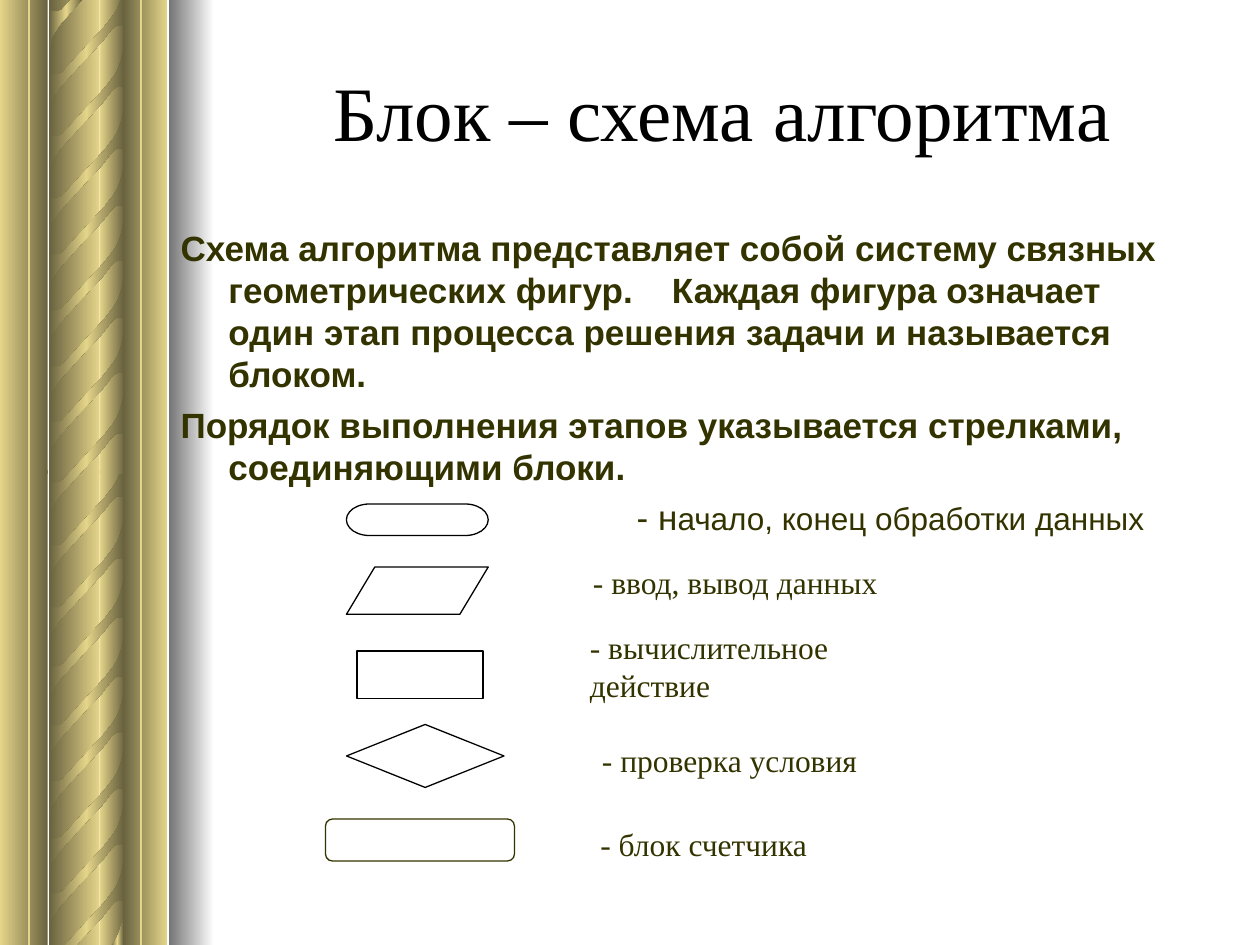
from lxml import etree
from pptx import Presentation
from pptx.dml.color import RGBColor
from pptx.enum.shapes import MSO_CONNECTOR, MSO_SHAPE as SHAPE
from pptx.enum.text import MSO_ANCHOR as ANCHOR, MSO_AUTO_SIZE, PP_ALIGN as ALIGN
from pptx.oxml.ns import qn
from pptx.util import Emu, Inches, Pt

CELL = Inches(1) // 24
BLACK, WHITE, OLIVE = "000000", "FFFFFF", "333300"
GOLD, BRONZE, GREY = "E5D58A", "69623F", "757575"
SERIF, SANS = "Times New Roman", "Arial"

SWIRL = [(59, 9), (59, 33), (58, 32), (54, 32), (52, 33), (49, 36), (42, 45),
         (25, 63), (8, 82), (5, 87), (2, 92), (1, 101), (0, 112), (0, 63),
         (0, 68), (1, 70), (3, 71), (5, 71), (7, 71), (10, 70), (44, 33),
         (51, 24), (54, 19), (56, 14), (58, 7), (59, 0), (59, 20)]
SWIRL_LEFT = 39
HALVES = [
    (89.5, 373, [458, 505, 549, 594, 638, 683, 725, 411, 362]),
    (-0.2, -1, [86, 131, 175, 220, 264, 37, -12, -62, 312]),
]
BOTTOM = 751
COLUMNS = [(19, 4.8, [BRONZE, GOLD]), (0, 9.1, [BRONZE, GOLD]),
           (9.4, 9.6, [GOLD, BRONZE]), (23.5, 8.4, [GOLD, BRONZE])]

BLOCKS = [
    (SHAPE.FLOWCHART_TERMINATOR, (66, 96, 27, 6), WHITE, BLACK),
    (SHAPE.FLOWCHART_DATA, (66, 108, 27, 9), WHITE, BLACK),
    (SHAPE.FLOWCHART_PROCESS, (68, 124, 24, 9), WHITE, BLACK),
    (SHAPE.FLOWCHART_DECISION, (66, 138, 30, 12), WHITE, BLACK),
    (SHAPE.FLOWCHART_ALTERNATE_PROCESS, (62, 156, 36, 8), None, OLIVE),
]
LABELS = [
    ("- ввод, вывод данных", (110.6, 106.1, 59.3, 9.6), {}),
    ("- вычислительное действие", (110, 122, 74.4, 9.6), {"right": 0.9}),
    ("- проверка условия", (112.3, 139.9, 53.5, 9.6), {}),
    ("- блок счетчика", (112, 156, 60, 9.6), {"anchor": ANCHOR.TOP, "before": 11.2}),
]


def rgb(value):
    return RGBColor.from_string(value)


def grid(*cells):
    return [Emu(round(c * CELL)) for c in cells]


def clip(points, limit, sign):
    kept = []
    for (x0, y0), (x1, y1) in zip(points, points[1:] + points[:1]):
        inside0, inside1 = sign * (y0 - limit) >= 0, sign * (y1 - limit) >= 0
        if inside0:
            kept.append((x0, y0))
        if inside0 != inside1:
            kept.append((x0 + (x1 - x0) * (limit - y0) / (y1 - y0), limit))
    return kept


class Deck:
    def __init__(self, prs):
        self.s = prs.slides.add_slide(prs.slide_layouts[1])

    def gradient(self, sp, colors):
        sp.shadow.inherit = False
        sp.line.fill.background()
        sp.fill.gradient()
        sp.fill.gradient_angle = 180
        stops = sp._element.spPr.find(qn("a:gradFill")).find(qn("a:gsLst"))
        for stop in list(stops):
            stops.remove(stop)
        for i, color in enumerate(colors):
            gs = etree.SubElement(stops, qn("a:gs"), pos=str(100000 * i // (len(colors) - 1)))
            etree.SubElement(gs, qn("a:srgbClr"), val=color)

    def band(self, box, colors):
        self.gradient(self.s.shapes.add_shape(SHAPE.RECTANGLE, *grid(*box)), colors)

    def polygon(self, points, colors):
        builder = self.s.shapes.build_freeform(*points[0], scale=Inches(1) / 100)
        builder.add_line_segments(points[1:], close=True)
        self.gradient(builder.convert_to_shape(), colors)

    def rule(self, x, color):
        c = self.s.shapes.add_connector(MSO_CONNECTOR.STRAIGHT, *grid(x, 0, x, 180))
        c.line.color.rgb = rgb(color)
        c.line.width = Pt(1)
        etree.SubElement(c._element.spPr, qn("a:effectLst"))

    def block(self, kind, box, fill, line):
        sp = self.s.shapes.add_shape(kind, *grid(*box))
        sp.shadow.inherit = False
        if fill:
            sp.fill.solid()
            sp.fill.fore_color.rgb = rgb(fill)
        else:
            sp.fill.background()
        sp.line.color.rgb = rgb(line)
        sp.line.width = Pt(0.75)

    def run(self, p, text, size, font, color, bold=False, spread=0):
        r = p.add_run()
        r.text = text
        r.font.size, r.font.name, r.font.bold = Pt(size), font, bold
        r.font.color.rgb = rgb(color)
        if spread:
            r._r.get_or_add_rPr().set("spc", str(spread))

    def label(self, text, box, anchor=ANCHOR.MIDDLE, before=0, right=0.1):
        tf = self.s.shapes.add_textbox(*grid(*box)).text_frame
        tf.word_wrap = True
        tf.vertical_anchor = anchor
        tf.margin_right = Inches(right)
        p = tf.paragraphs[0]
        p.space_before = Pt(before)
        self.run(p, text, 18, SERIF, OLIVE)

    def place(self, ph, box, anchor):
        ph.left, ph.top, ph.width, ph.height = grid(*box)
        ph._element.getparent().append(ph._element)
        tf = ph.text_frame
        tf.word_wrap = True
        tf.auto_size = MSO_AUTO_SIZE.NONE
        tf.vertical_anchor = anchor
        return tf

    def title(self, text, box):
        p = self.place(self.s.shapes.title, box, ANCHOR.MIDDLE).paragraphs[0]
        p.alignment = ALIGN.CENTER
        self.run(p, text, 44, SERIF, BLACK)

    def body(self, paragraphs, box):
        tf = self.place(self.s.placeholders[1], box, ANCHOR.TOP)
        for i, (left, indent, before, runs) in enumerate(paragraphs):
            p = tf.add_paragraph() if i else tf.paragraphs[0]
            p.space_before = Pt(before)
            pPr = p._p.get_or_add_pPr()
            pPr.set("marL", str(Inches(left)))
            pPr.set("indent", str(Inches(indent)))
            etree.SubElement(pPr, qn("a:buNone"))
            for text, size, bold, spread in runs:
                self.run(p, text, size, SANS, OLIVE, bold, spread)


def main():
    prs = Presentation()
    prs.slide_width, prs.slide_height = grid(240, 180)
    deck = Deck(prs)

    for top, edge, swirl_tops in HALVES:
        for left, width, colors in COLUMNS:
            deck.band((left, top, width, 90.5), colors)
        for swirl_top in swirl_tops:
            points = [(SWIRL_LEFT + x, swirl_top + y) for x, y in SWIRL]
            deck.polygon(clip(clip(points, edge, 1), BOTTOM, -1), [BRONZE, GOLD, BRONZE])
    deck.band((32.2, 0, 8.6, 180), [WHITE, GREY])
    for x in (5.5, 26.9):
        deck.rule(x, GOLD)

    deck.title("Блок – схема алгоритма", (39.3, 6, 196.5, 30))
    deck.body([
        (0.38, -0.38, 5, [
            ("Схема алгоритма представляет собой систему связных геометрических фигур.", 20, True, 0),
            (" ", 20, True, 1670),
            ("Каждая фигура означает один этап процесса решения задачи и называется блоком.",
             20, True, 0)]),
        (0.38, -0.38, 5, [
            ("Порядок выполнения этапов указывается стрелками, соединяющими блоки.", 20, True, 0)]),
        (3.62, 0, 4.5, [
            ("- н", 20, False, 0), ("ачало, конец обработки данных", 18, False, 0)]),
    ], (32, 42, 196.5, 123.8))

    for kind, box, fill, line in BLOCKS:
        deck.block(kind, box, fill, line)
    for text, box, style in LABELS:
        deck.label(text, box, **style)
    prs.save("out.pptx")


if __name__ == "__main__":
    main()
